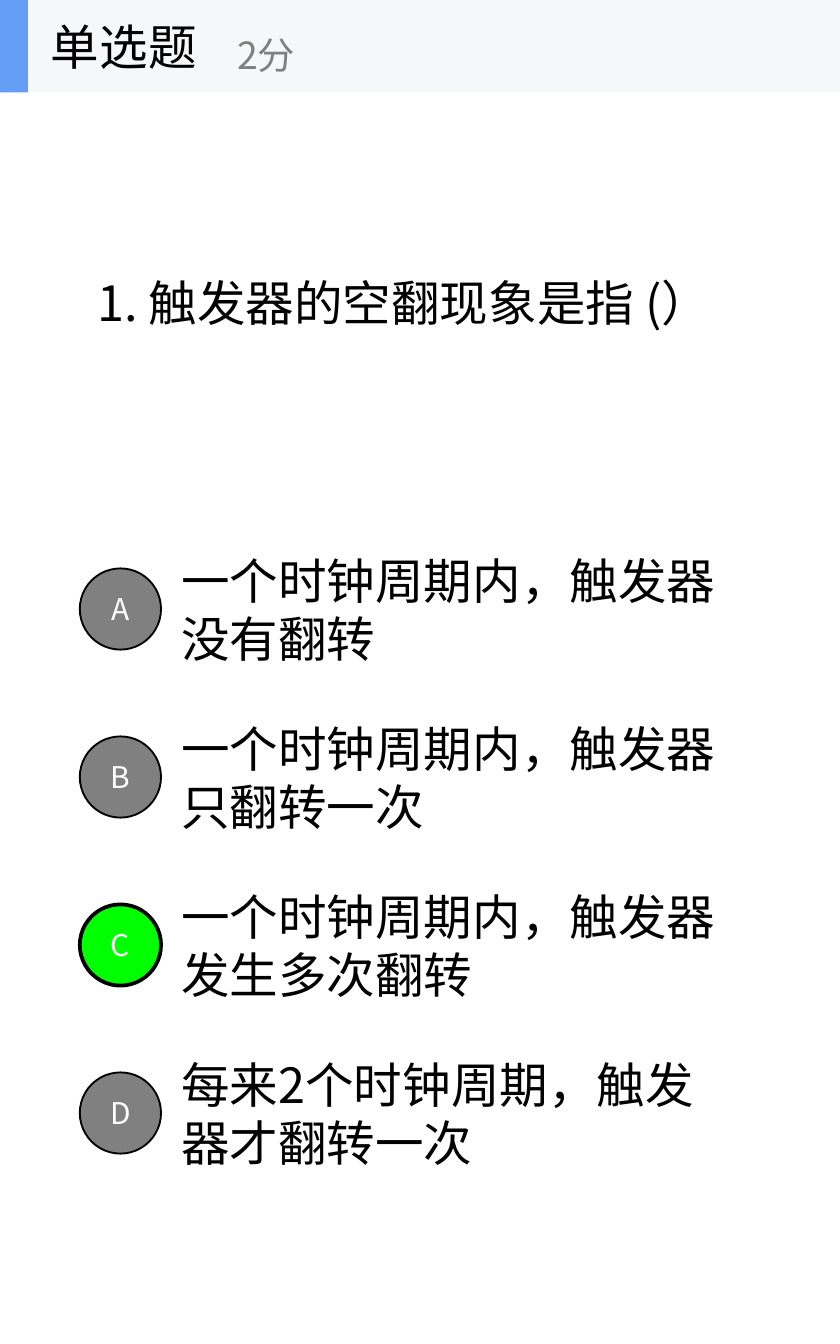
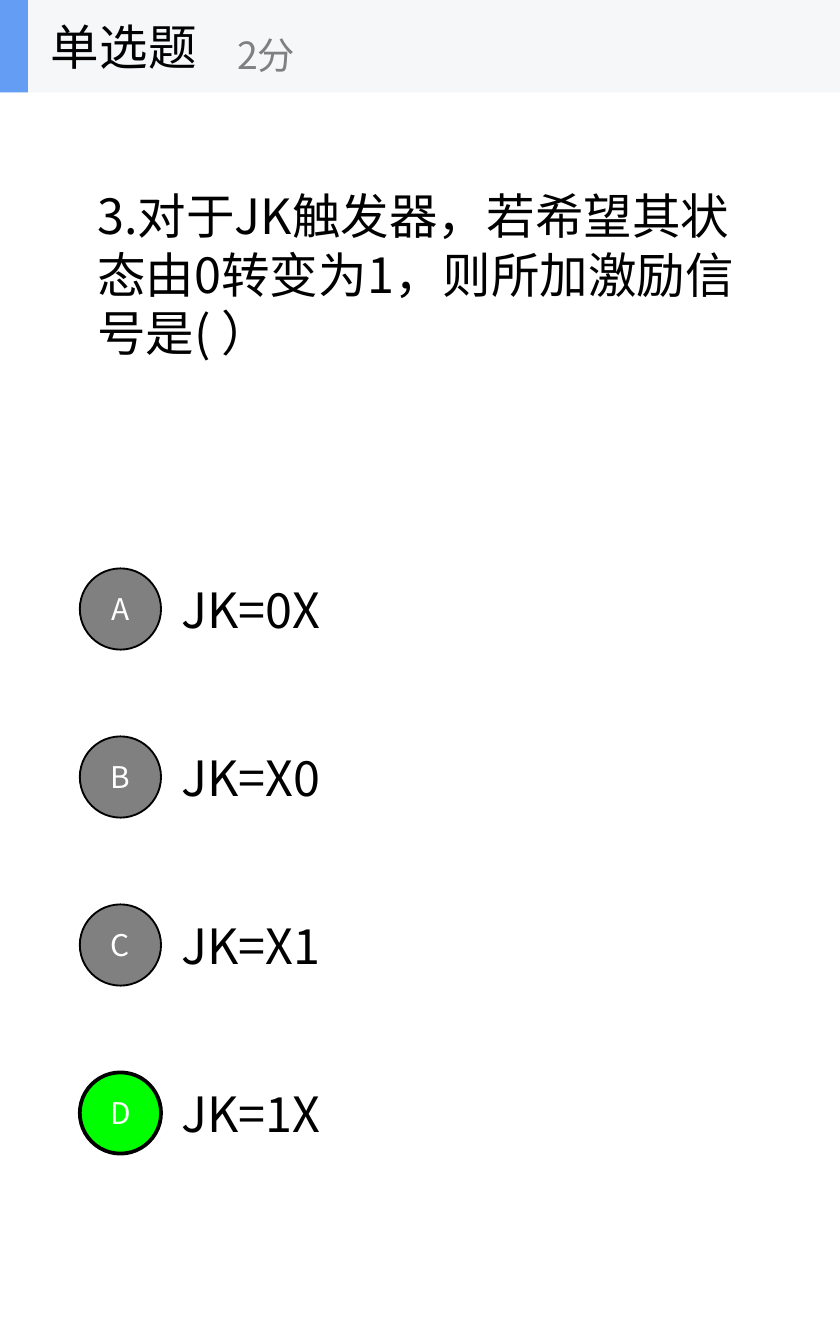
from lxml import etree
from pptx import Presentation
from pptx.dml.color import RGBColor
from pptx.enum.shapes import MSO_SHAPE
from pptx.enum.text import MSO_ANCHOR, PP_ALIGN
from pptx.oxml.ns import qn
from pptx.util import Pt

PX = 9525
OVAL, RECT = MSO_SHAPE.OVAL, MSO_SHAPE.RECTANGLE
MID, LEFT, CENTER = MSO_ANCHOR.MIDDLE, PP_ALIGN.LEFT, PP_ALIGN.CENTER
FONT = "Noto Sans CJK SC"
HEX = {"ink": "000000", "paper": "FFFFFF", "gray": "808080",
       "right": "00FF00", "band": "F6F7F8", "accent": "639EF4"}
RGB = {name: RGBColor.from_string(code) for name, code in HEX.items()}

WIDTH, HEIGHT, BAND = 600, 960, 66
FIRST, STEP, ROW, DOT = 390, 120, 90, 58

# question, right letter, extra room under the question, options
QUIZ = [
    ("1. 触发器的空翻现象是指 (）", "C", 0,
     ["一个时钟周期内，触发器没有翻转",
      "一个时钟周期内，触发器只翻转一次",
      "一个时钟周期内，触发器发生多次翻转",
      "每来2个时钟周期，触发器才翻转一次"]),
    ("3.对于JK触发器，若希望其状态由0转变为1，则所加激励信号是( ）", "D", 41,
     ["JK=0X", "JK=X0", "JK=X1", "JK=1X"]),
]


def write(shape, text, size=26, color="ink", align=LEFT, wrap=True):
    """Put one vertically centred paragraph into the shape."""
    frame = shape.text_frame
    for key, value in {"word_wrap": wrap, "vertical_anchor": MID}.items():
        setattr(frame, key, value)
    para = frame.paragraphs[0]
    para.alignment = align
    run = para.add_run()
    run.text = text
    for key, value in {"size": Pt(size), "name": FONT}.items():
        setattr(run.font, key, value)
    run.font.color.rgb = RGB[color]
    etree.SubElement(run.font._element, qn("a:ea"), typeface=FONT)
    return frame


def draw(parent, kind, box, fill, line=0):
    """Add a flat filled shape; box is left, top, width, height in px."""
    shape = parent.add_shape(kind, *[n * PX for n in box])
    shape.shadow.inherit = False
    shape.fill.solid()
    shape.fill.fore_color.rgb = RGB[fill]
    if line:
        shape.line.color.rgb = RGB["ink"]
        shape.line.width = Pt(line)
    else:
        shape.line.fill.background()
    return shape


deck = Presentation()
deck.slide_width, deck.slide_height = WIDTH * PX, HEIGHT * PX

for question, answer, room, options in QUIZ:
    shapes = deck.slides.add_slide(deck.slide_layouts[6]).shapes

    box = shapes.add_textbox(60 * PX, BAND * PX, 480 * PX, 300 * PX)
    frame = write(box, question)
    frame.margin_bottom += room * PX

    for i, option in enumerate(options):
        top = FIRST + i * STEP
        box = shapes.add_textbox(120 * PX, top * PX, 420 * PX, ROW * PX)
        write(box, option)

    for i, letter in enumerate("ABCD"):
        top = FIRST + i * STEP + (ROW - DOT) // 2
        fill, line = ("right", 2) if letter == answer else ("gray", 1)
        dot = draw(shapes, OVAL, (57, top, DOT, DOT), fill, line)
        write(dot, letter, 16, "paper", CENTER)

    head = shapes.add_group_shape().shapes
    draw(head, RECT, (0, 0, WIDTH, BAND), "band")
    draw(head, RECT, (0, 0, 20, BAND), "accent")
    title = head.add_textbox(27 * PX, 0, 200 * PX, BAND * PX)
    write(title, "单选题", wrap=False)
    score = head.add_textbox(160 * PX, 12 * PX, 240 * PX, 54 * PX)
    write(score, "2分", 20, "gray", wrap=False)

deck.save("out.pptx")
